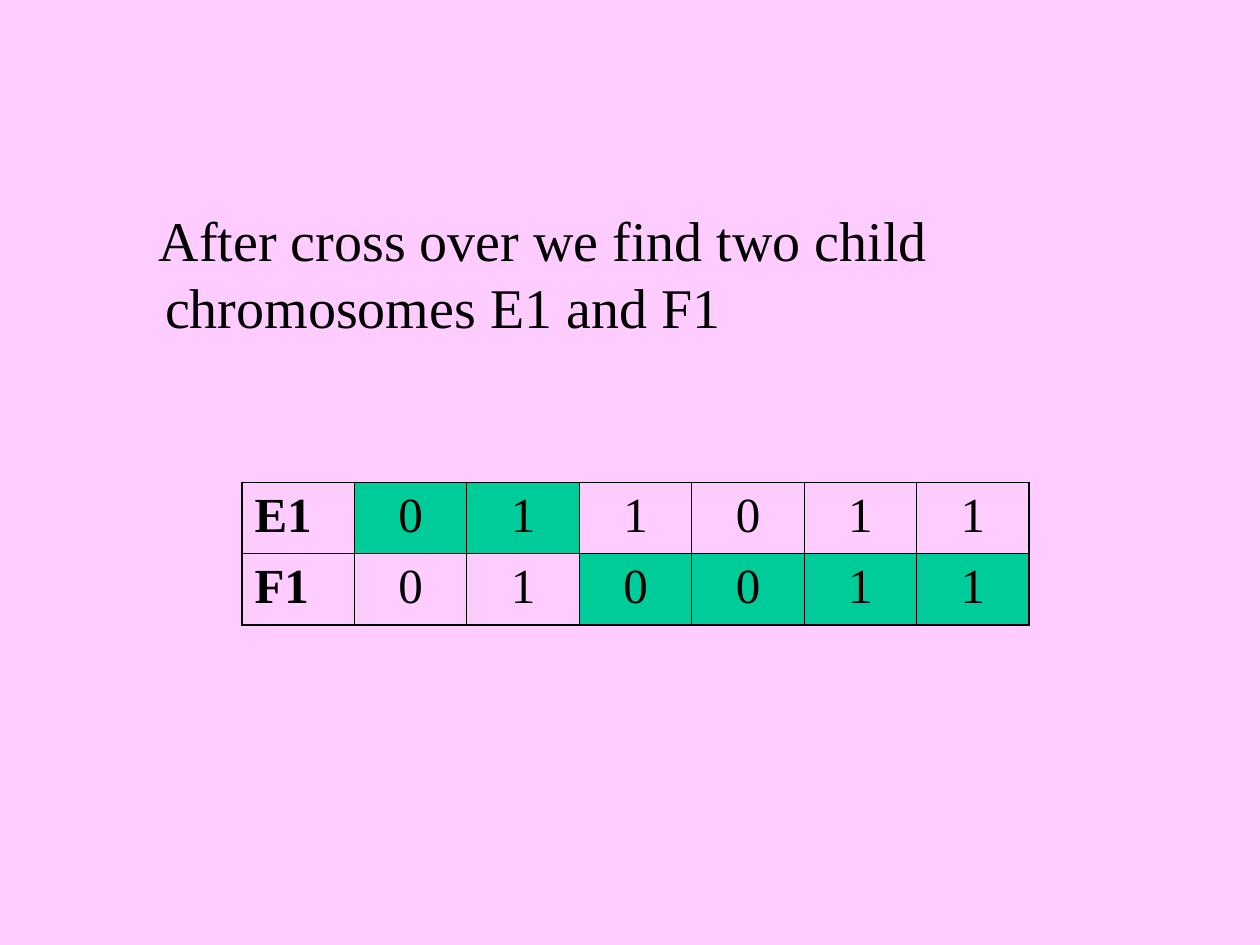
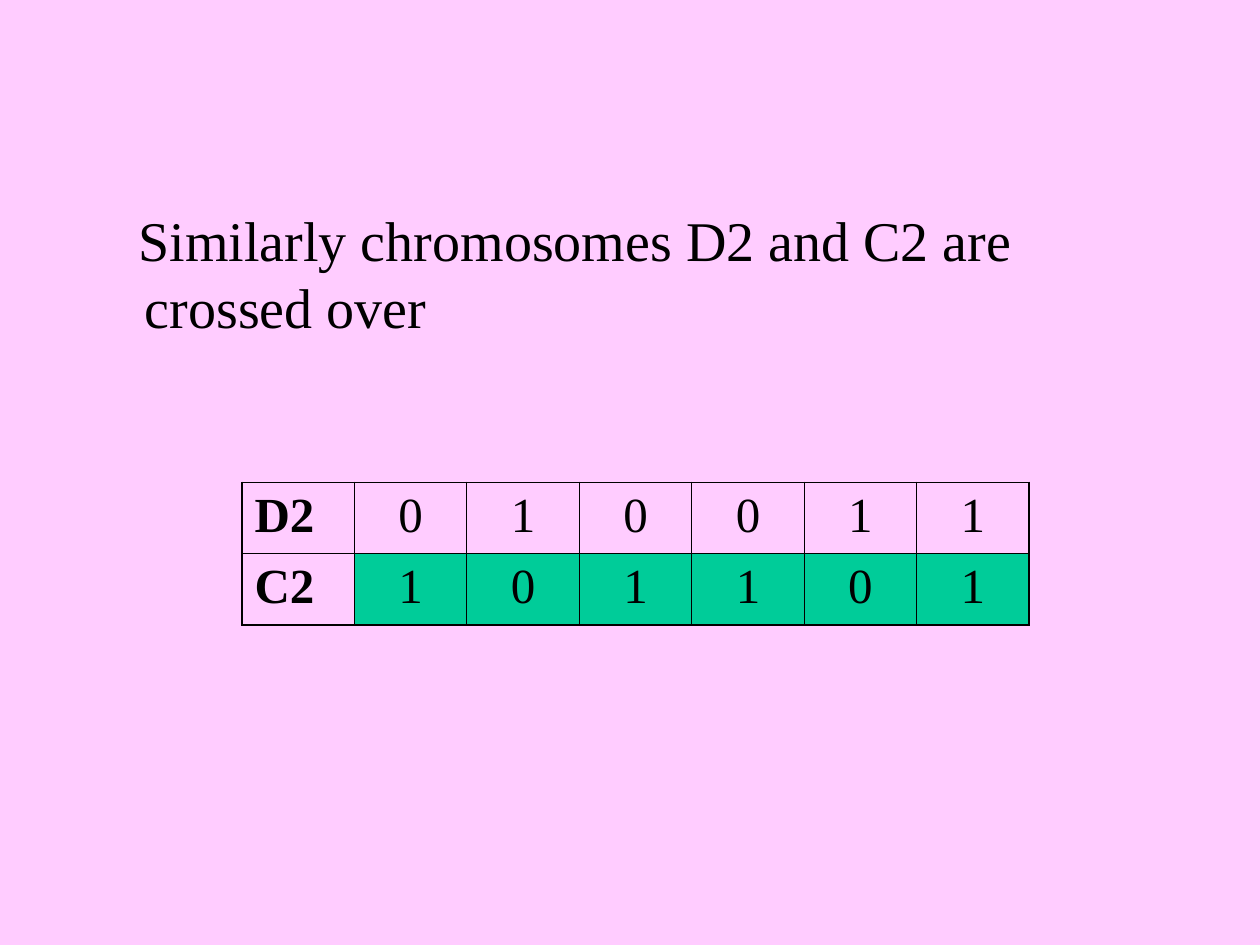
from dataclasses import dataclass

from lxml import etree
from pptx import Presentation
from pptx import util as u
from pptx.dml.color import RGBColor
from pptx.enum import text
from pptx.oxml import ns


@dataclass(frozen=True)
class Theme:
    font: str = "Times New Roman"
    background: RGBColor = RGBColor(0xFF, 0xCC, 0xFF)
    ink: RGBColor = RGBColor(0, 0, 0)
    gene: RGBColor = RGBColor(0, 0xCC, 0x99)
    body_size: int = 32
    table_size: int = 28
    inner_line: float = 0.45
    outer_line: float = 1.08


class Deck:
    """Holds the style and the current slide."""

    def __init__(self, theme):
        self.theme = theme
        self.prs = Presentation()
        self.prs.slide_width, self.prs.slide_height = u.Inches(10), u.Inches(7.5)
        fill = self.prs.slide_master.background.fill
        fill.solid()
        fill.fore_color.rgb = theme.background

    def add_slide(self):
        self.s = self.prs.slides.add_slide(self.prs.slide_layouts[1])
        title = self.s.shapes.title
        title.element.getparent().remove(title.element)

    def run(self, p, words, size, bold=False):
        r = p.add_run()
        r.text = words
        r.font.name, r.font.size, r.font.bold = self.theme.font, u.Pt(size), bold
        r.font.color.rgb = self.theme.ink

    def body(self, words, left, top, width, height):
        sp = self.s.placeholders[1]
        sp.left, sp.top = u.Inches(left), u.Inches(top)
        sp.width, sp.height = u.Inches(width), u.Inches(height)
        tf = sp.text_frame
        tf.word_wrap = True
        tf.auto_size = text.MSO_AUTO_SIZE.NONE
        p = tf.paragraphs[0]
        p.space_before = u.Pt(8)
        self.run(p, words, self.theme.body_size)
        # Hanging indent without a bullet
        pPr = p._p.get_or_add_pPr()
        pPr.set("marL", str(u.Inches(0.38)))
        pPr.set("indent", str(u.Inches(-0.05)))
        etree.SubElement(pPr, ns.qn("a:buNone"))

    def borders(self, cell, outer_sides):
        tcPr = cell._tc.get_or_add_tcPr()
        for i, side in enumerate("LRTB"):
            points = self.theme.outer_line if side in outer_sides else self.theme.inner_line
            ln = etree.Element(ns.qn(f"a:ln{side}"), w=str(u.Pt(points)))
            fill = etree.SubElement(ln, ns.qn("a:solidFill"))
            etree.SubElement(fill, ns.qn("a:srgbClr"), val=str(self.theme.ink))
            tcPr.insert(i, ln)

    def chromosomes(self, rows):
        """Each row is a name, its bits and the positions to highlight."""
        n_cols = len(rows[0][1]) + 1
        table = self.s.shapes.add_table(
            len(rows), n_cols, u.Inches(1.92), u.Inches(3.83),
            u.Inches(6.25), u.Inches(1.13)).table
        table.first_row = table.horz_banding = False
        for i, (name, bits, marked) in enumerate(rows):
            for j, words in enumerate([name, *bits]):
                cell = table.cell(i, j)
                if j - 1 in marked:
                    cell.fill.solid()
                    cell.fill.fore_color.rgb = self.theme.gene
                else:
                    cell.fill.background()
                edges = {"L": j == 0, "R": j == n_cols - 1,
                         "T": i == 0, "B": i == len(rows) - 1}
                self.borders(cell, [side for side in edges if edges[side]])
                p = cell.text_frame.paragraphs[0]
                p.space_before = u.Pt(7)
                if j:
                    p.alignment = text.PP_ALIGN.CENTER
                self.run(p, words, self.theme.table_size, bold=j == 0)


def main():
    deck = Deck(Theme())

    # Children of the first crossover
    deck.add_slide()
    deck.body("After cross over we find two child chromosomes E1 and F1",
              0.83, 1.58, 8.5, 4.5)
    deck.chromosomes([("E1", "011011", range(2)),
                      ("F1", "010011", range(2, 6))])

    # Parents of the second crossover
    deck.add_slide()
    deck.body("Similarly chromosomes D2 and C2 are crossed over",
              0.67, 1.58, 8.58, 5.08)
    deck.chromosomes([("D2", "010011", ()),
                      ("C2", "101101", range(6))])

    deck.prs.save("out.pptx")


if __name__ == "__main__":
    main()
